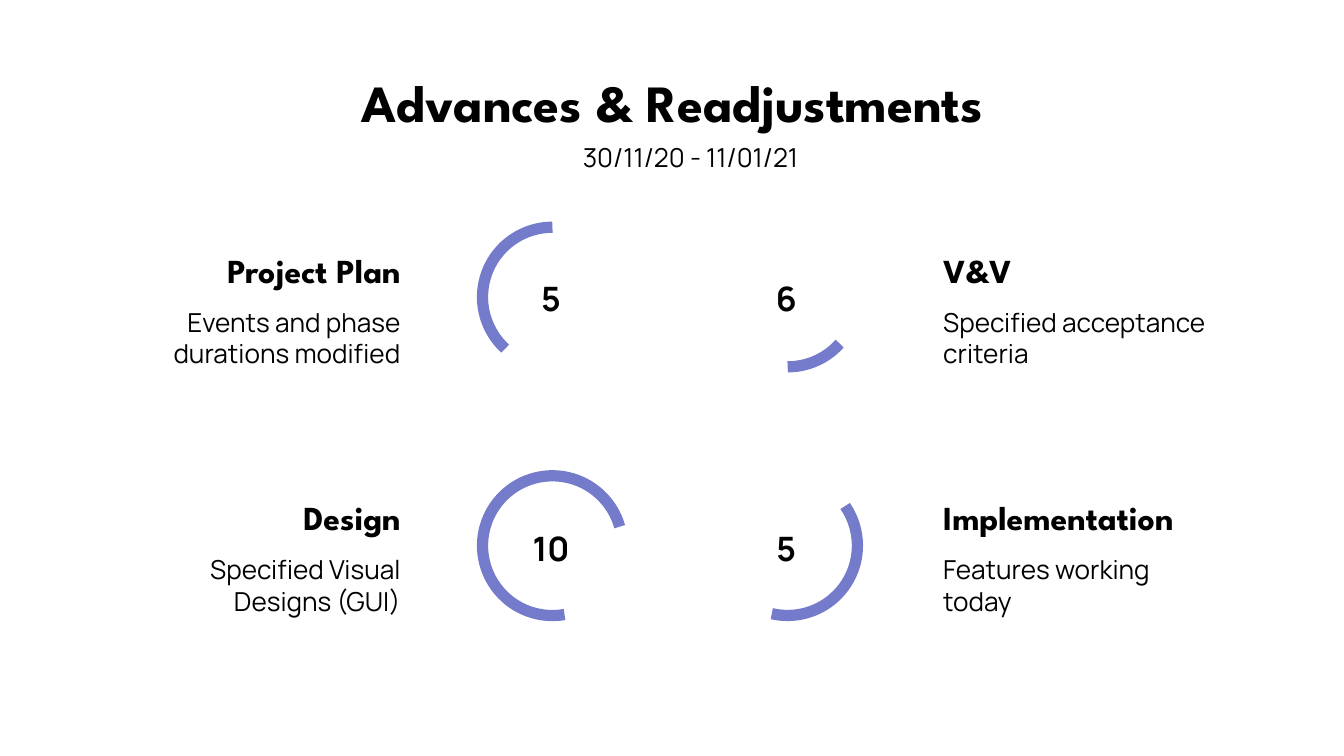
from dataclasses import dataclass

from pptx import Presentation
from pptx.dml.color import RGBColor
from pptx.enum.shapes import MSO_SHAPE
from pptx.enum.text import MSO_ANCHOR, PP_ALIGN
from pptx.slide import Slide
from pptx.util import Emu, Pt

PX = 9144
BLACK = RGBColor(0x00, 0x00, 0x00)
VIOLET = RGBColor(0x74, 0x7B, 0xCA)
HEADING_FONT = "League Spartan"
BODY_FONT = "Manrope"

SLIDE_WIDTH = 1000
RING_SIZE = 104
LABEL_HEIGHT = 45
HEADING_WIDTH = 230
DETAIL_DROP = 42
ADJUSTMENT_PER_DEGREE = 0.6
ARC_START = 270


@dataclass(frozen=True)
class Row:
    ring_top: int
    heading_top: int
    count_top: int


@dataclass(frozen=True)
class Column:
    ring_left: int
    text_edge: int
    align: PP_ALIGN

    def text_left(self, width: int) -> int:
        return self.text_edge - width if self.align == PP_ALIGN.RIGHT else self.text_edge


@dataclass(frozen=True)
class Phase:
    column: Column
    row: Row
    heading: str
    detail: str
    count: str
    rotation: float
    arc_end: float
    detail_width: int = 207


LEFT = Column(359, 308, PP_ALIGN.RIGHT)
RIGHT = Column(534, 692, PP_ALIGN.LEFT)
UPPER = Row(169, 176, 197)
LOWER = Row(354, 360, 383)

PHASES = (
    Phase(LEFT, UPPER, "Project Plan", "Events and phase durations modified",
          "5", 222.5, 47.52),
    Phase(RIGHT, UPPER, "V&V", "Specified acceptance criteria",
          "6", 131.9, 318.07, 223),
    Phase(LEFT, LOWER, "Design", "Specified Visual Designs (GUI)",
          "10", 170, 174.26),
    Phase(RIGHT, LOWER, "Implementation", "Features working today",
          "5", 55.5, 47.52),
)


def px(length: int) -> Emu:
    return Emu(length * PX)


def add_label(slide: Slide, left: int, top: int, width: int, text: str,
              font: str, size: int, align: PP_ALIGN, bold: bool = False,
              height: int = LABEL_HEIGHT) -> None:
    frame = slide.shapes.add_textbox(px(left), px(top), px(width), px(height)).text_frame
    frame.word_wrap = True
    frame.vertical_anchor = MSO_ANCHOR.TOP
    frame.margin_left = frame.margin_right = px(10)
    frame.margin_top = frame.margin_bottom = px(10)
    paragraph = frame.paragraphs[0]
    paragraph.alignment = align
    run = paragraph.add_run()
    run.text = text
    run.font.name = font
    run.font.size = Pt(size)
    run.font.bold = bold
    run.font.color.rgb = BLACK


def add_ring(slide: Slide, phase: Phase) -> None:
    ring = slide.shapes.add_shape(
        MSO_SHAPE.ARC, px(phase.column.ring_left), px(phase.row.ring_top),
        px(RING_SIZE), px(RING_SIZE))
    ring.adjustments[0] = ARC_START * ADJUSTMENT_PER_DEGREE
    ring.adjustments[1] = phase.arc_end * ADJUSTMENT_PER_DEGREE
    ring.rotation = phase.rotation
    ring.shadow.inherit = False
    ring.fill.background()
    ring.line.color.rgb = VIOLET
    ring.line.width = Pt(6)


def add_phase(slide: Slide, phase: Phase) -> None:
    column, row = phase.column, phase.row
    add_ring(slide, phase)
    add_label(slide, column.ring_left - 1, row.count_top, RING_SIZE,
              phase.count, BODY_FONT, 18, PP_ALIGN.CENTER, bold=True)
    add_label(slide, column.text_left(HEADING_WIDTH), row.heading_top, HEADING_WIDTH,
              phase.heading, HEADING_FONT, 18, column.align, bold=True)
    add_label(slide, column.text_left(phase.detail_width), row.heading_top + DETAIL_DROP,
              phase.detail_width, phase.detail, BODY_FONT, 14, column.align)


def main() -> None:
    deck = Presentation()
    deck.slide_width = px(SLIDE_WIDTH)
    deck.slide_height = Emu(px(SLIDE_WIDTH) * 9 // 16)
    slide = deck.slides.add_slide(deck.slide_layouts[6])
    add_label(slide, 78, 42, 844, "Advances & Readjustments", HEADING_FONT, 28,
              PP_ALIGN.CENTER, bold=True, height=52)
    add_label(slide, 397, 95, 207, "30/11/20 - 11/01/21", BODY_FONT, 14, PP_ALIGN.RIGHT)
    for phase in PHASES:
        add_phase(slide, phase)
    deck.save("out.pptx")


if __name__ == "__main__":
    main()
